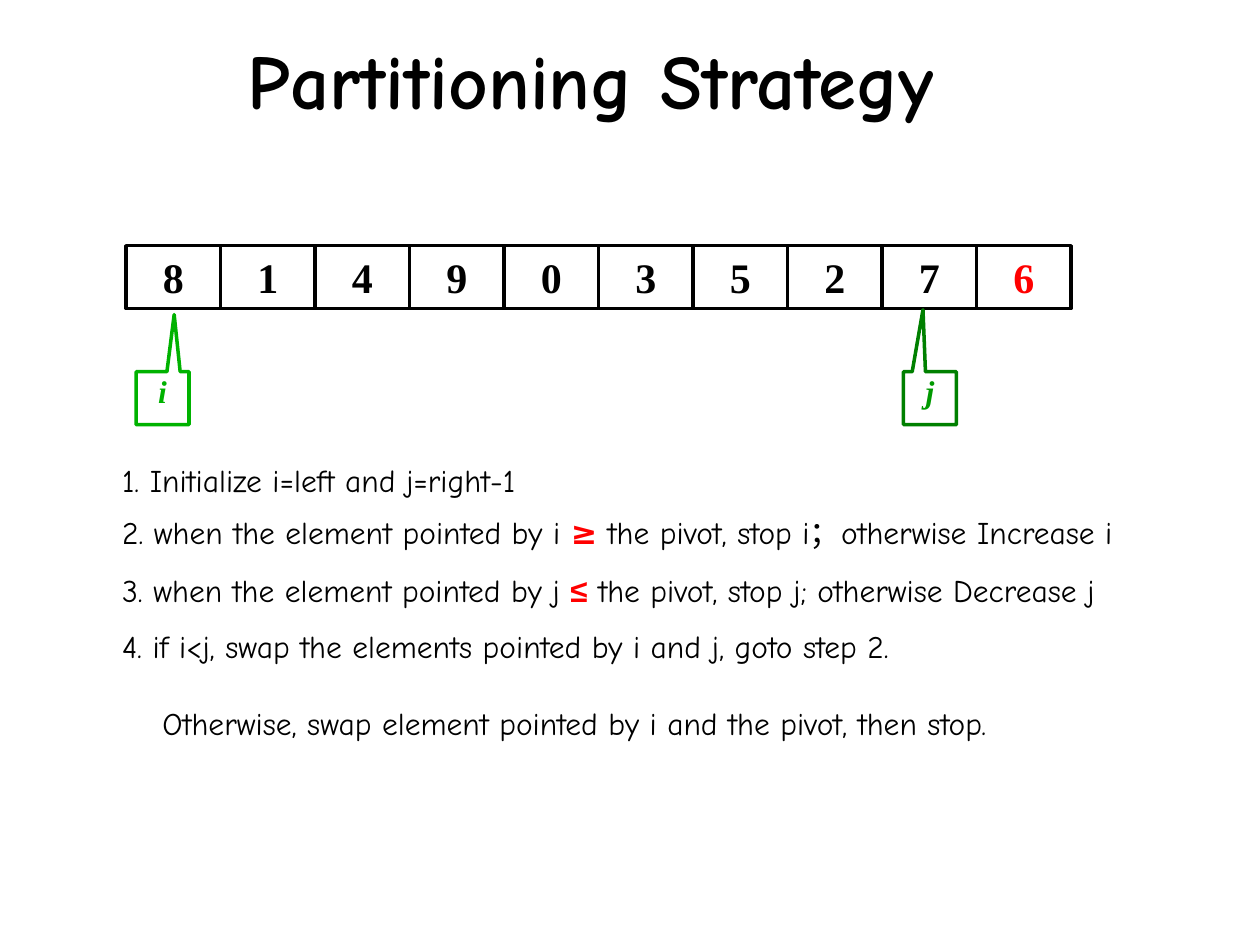
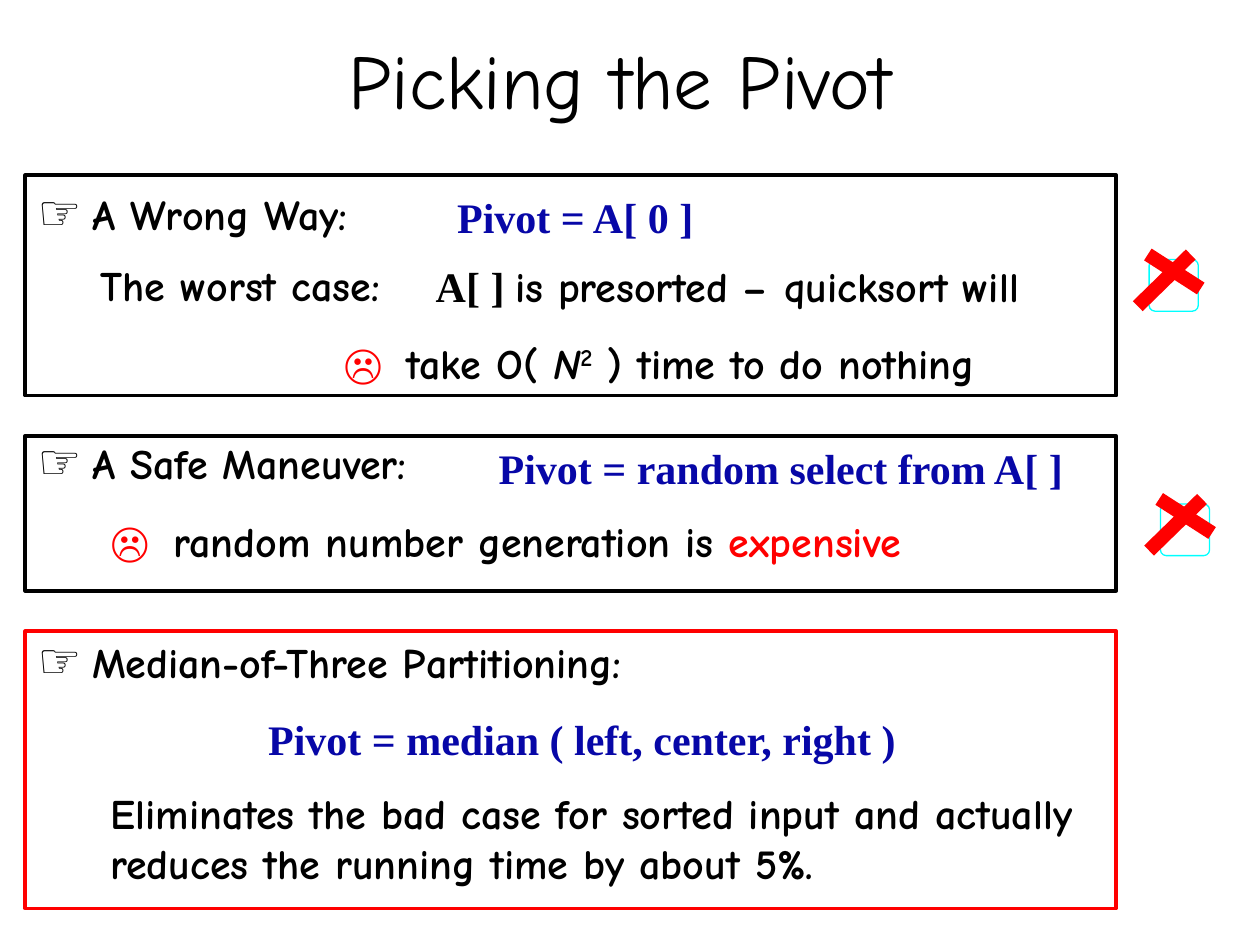
from dataclasses import dataclass

from lxml.etree import SubElement
from pptx import Presentation
from pptx.dml.color import RGBColor
from pptx.enum.shapes import MSO_CONNECTOR, MSO_SHAPE
from pptx.enum.text import MSO_ANCHOR, PP_ALIGN
from pptx.oxml.ns import qn
from pptx.util import Inches, Pt

# The slide is a grid of 100 columns by 75 rows; all lengths count its cells.
COLUMNS, ROWS = 100, 75
CELL = Inches(0.1)


@dataclass(frozen=True)
class Theme:
    black: str = "000000"
    red: str = "FF0000"
    navy: str = "0707A7"
    cyan: str = "00FFFF"
    light_green: str = "00B200"
    dark_green: str = "008000"
    middle_green: str = "009900"
    hand: str = "Comic Neue"
    serif: str = "Times New Roman"
    sans: str = "Arial"
    title_size: int = 44
    icon_size: int = 28
    text_size: int = 24
    step_size: int = 18
    outline: float = 2
    thin: float = 0.75
    stroke: float = 8


THEME = Theme()


def font_format(name, size, bold=False, italic=False):
    return {"name": name, "size": Pt(size), "bold": bold, "italic": italic}


TITLE = font_format(THEME.hand, THEME.title_size)
TITLE_BOLD = TITLE | {"bold": True}
STEP = font_format(THEME.hand, THEME.step_size)
STEP_BOLD = STEP | {"bold": True}
STEP_SYMBOL = font_format(THEME.sans, THEME.step_size, bold=True)
POINTER = font_format(THEME.serif, THEME.step_size, bold=True, italic=True)
BODY = font_format(THEME.hand, THEME.text_size, bold=True)
VARIABLE = BODY | {"italic": True}
CODE = font_format(THEME.serif, THEME.text_size, bold=True)
FACE = font_format(THEME.sans, THEME.text_size, bold=True)
HAND_ICON = font_format(THEME.sans, THEME.icon_size, bold=True)


@dataclass
class Run:
    text: str
    format: dict
    color: str = THEME.black
    raised: bool = False


@dataclass
class Line:
    """One paragraph; indent and tab count grid cells, space_before points."""
    runs: list
    indent: float = 0
    tab: float = 0
    space_before: float = 0


def cells(*counts):
    return [round(count * CELL) for count in counts]


def write(text_frame, lines, alignment=PP_ALIGN.LEFT):
    for number, line in enumerate(lines):
        paragraph = text_frame.add_paragraph() if number else text_frame.paragraphs[0]
        paragraph.alignment = alignment
        paragraph.space_before = Pt(line.space_before)
        properties = paragraph._p.get_or_add_pPr()
        properties.set("marL", str(cells(line.indent)[0]))
        properties.set("indent", "0")
        if line.tab:
            tabs = SubElement(properties, qn("a:tabLst"))
            SubElement(tabs, qn("a:tab"), pos=str(cells(line.tab)[0]), algn="l")
        for part in line.runs:
            run = paragraph.add_run()
            run.text = part.text
            for attribute, value in part.format.items():
                setattr(run.font, attribute, value)
            run.font.color.rgb = RGBColor.from_string(part.color)
            if part.raised:
                run._r.get_or_add_rPr().set("baseline", "30000")


def add_text(slide, box, *lines):
    text_frame = slide.shapes.add_textbox(*cells(*box)).text_frame
    text_frame.word_wrap = True
    write(text_frame, lines)


def add_title(slide, text, box, style):
    add_text(slide, box, Line([Run(text, style)], indent=2.7))


def add_outline(shapes, kind, box, color, width=THEME.outline):
    """Add an unfilled preset shape."""
    shape = shapes.add_shape(kind, *cells(*box))
    shape.shadow.inherit = False
    shape.fill.background()
    shape.line.color.rgb = RGBColor.from_string(color)
    shape.line.width = Pt(width)
    return shape


def add_array(slide, values, left, top, width, height):
    """Draw the values side by side; the last one is the pivot."""
    shapes = slide.shapes.add_group_shape().shapes
    for index, value in enumerate(values):
        box = (left + index * width, top, width, height)
        text_frame = add_outline(shapes, MSO_SHAPE.RECTANGLE, box, THEME.black).text_frame
        text_frame.word_wrap = False
        color = THEME.red if index == len(values) - 1 else THEME.black
        write(text_frame, [Line([Run(value, CODE, color)])], PP_ALIGN.CENTER)


def add_pointer(slide, name, left, tip, line_color, text_color):
    callout = add_outline(slide.shapes, MSO_SHAPE.RECTANGULAR_CALLOUT,
                          (left, 29.5, 4.2, 4.2), line_color)
    for index, share in enumerate(tip):
        callout.adjustments[index] = share
    callout.text_frame.margin_top = 0
    callout.text_frame.vertical_anchor = MSO_ANCHOR.TOP
    write(callout.text_frame, [Line([Run(name, POINTER, text_color)])], PP_ALIGN.CENTER)


def add_heading(slide, text, top, width):
    icon = [Run("☞", HAND_ICON), Run(" ", CODE), Run(text, BODY)]
    add_text(slide, (2, top, width, 5.7), Line(icon))


def add_formula(slide, text, box):
    add_text(slide, box, Line([Run(text, CODE, THEME.navy)]))


def add_cross(slide, left, top):
    """Add a small rounded box struck out by two thick strokes."""
    shapes = slide.shapes.add_group_shape().shapes
    frame = add_outline(shapes, MSO_SHAPE.ROUNDED_RECTANGLE,
                        (left, top, 3.9, 4.1), THEME.cyan, THEME.thin)
    frame.adjustments[0] = 0.12
    for start_x, start_y, end_x, end_y in ((-0.1, -0.4, 4.1, 2.3), (-0.9, 3.7, 3.3, -0.4)):
        ends = cells(left + start_x, top + start_y, left + end_x, top + end_y)
        stroke = shapes.add_connector(MSO_CONNECTOR.STRAIGHT, *ends)
        stroke.line.color.rgb = RGBColor.from_string(THEME.red)
        stroke.line.width = Pt(THEME.stroke)
        SubElement(stroke._element.spPr, qn("a:effectLst"))


def build_partitioning(slide):
    add_title(slide, "Partitioning Strategy", (16, 2.1, 77.3, 8.4), TITLE_BOLD)
    steps = [
        (36.1, [Line([Run("1. Initialize i=left and j=right-1", STEP)])]),
        (40.2, [Line([Run("2. when the element pointed by i ", STEP),
                      Run("≥", STEP_BOLD, THEME.red),
                      Run(" the pivot, stop i；otherwise Increase i", STEP)])]),
        (44.8, [Line([Run("3. when the element pointed by j ", STEP),
                      Run("≤", STEP_SYMBOL, THEME.red),
                      Run(" the pivot, stop j; otherwise Decrease j", STEP)])]),
        (49.3, [Line([Run("4. if i<j, swap the elements pointed by i and j, goto step 2.", STEP)]),
                Line([Run("Otherwise, swap element pointed by i and the pivot, then stop.", STEP)],
                     indent=3.2, space_before=22)]),
    ]
    for top, lines in steps:
        add_text(slide, (8.7, top, 89.9, 4 if len(lines) == 1 else 13), *lines)
    add_array(slide, "8149035276", left=10, top=19.5, width=7.5, height=5)
    add_pointer(slide, "i", 10.8, (0.22, -1.58), THEME.light_green, THEME.light_green)
    add_pointer(slide, "j", 71.7, (-0.13, -1.67), THEME.dark_green, THEME.middle_green)


def build_pivot(slide):
    add_title(slide, "Picking the Pivot", (24, 2.1, 56.7, 8.4), TITLE)

    add_heading(slide, "A Wrong Way:", 13.9, 36.2)
    add_formula(slide, "Pivot = A[ 0 ]", (35.3, 14.7, 22, 5))
    add_text(slide, (7, 20.1, 30.8, 5), Line([Run("The worst case:", BODY)]))
    add_text(slide, (26.3, 20.2, 68.2, 11.1),
             Line([Run("A[ ] ", CODE), Run("is presorted – quicksort will", BODY)], indent=7.3),
             Line([Run("☹\t", FACE, THEME.red), Run("take O( ", BODY), Run("N", VARIABLE),
                   Run("2", BODY, raised=True), Run(" ) time to do nothing", BODY)],
                  tab=7.8, space_before=15))

    add_heading(slide, "A Safe Maneuver:", 33.7, 37.8)
    add_formula(slide, "Pivot = random select from A[ ]", (38.6, 34.6, 50, 5))
    add_text(slide, (7.8, 40.4, 81.6, 5),
             Line([Run("☹\t", FACE, THEME.red), Run("random number generation is ", BODY),
                   Run("expensive", BODY, THEME.red)], tab=4.6))

    add_heading(slide, "Median-of-Three Partitioning:", 49.5, 57.5)
    add_formula(slide, "Pivot = median ( left, center, right )", (20.3, 56.1, 55.8, 5))
    add_text(slide, (7.8, 62, 84.7, 9),
             Line([Run("Eliminates the bad case for sorted input and actually "
                       "reduces the running time by about 5%.", BODY)]))

    for top, height, color in ((50.1, 22, THEME.red), (13.9, 17.5, THEME.black),
                               (34.6, 12.3, THEME.black)):
        add_outline(slide.shapes, MSO_SHAPE.RECTANGLE, (2, top, 86.6, height), color)
    add_cross(slide, 91.2, 20.6)
    add_cross(slide, 92.1, 40)


def main():
    presentation = Presentation()
    presentation.slide_width, presentation.slide_height = cells(COLUMNS, ROWS)
    blank = presentation.slide_layouts[6]
    for build in (build_partitioning, build_pivot):
        build(presentation.slides.add_slide(blank))
    presentation.save("out.pptx")


if __name__ == "__main__":
    main()
